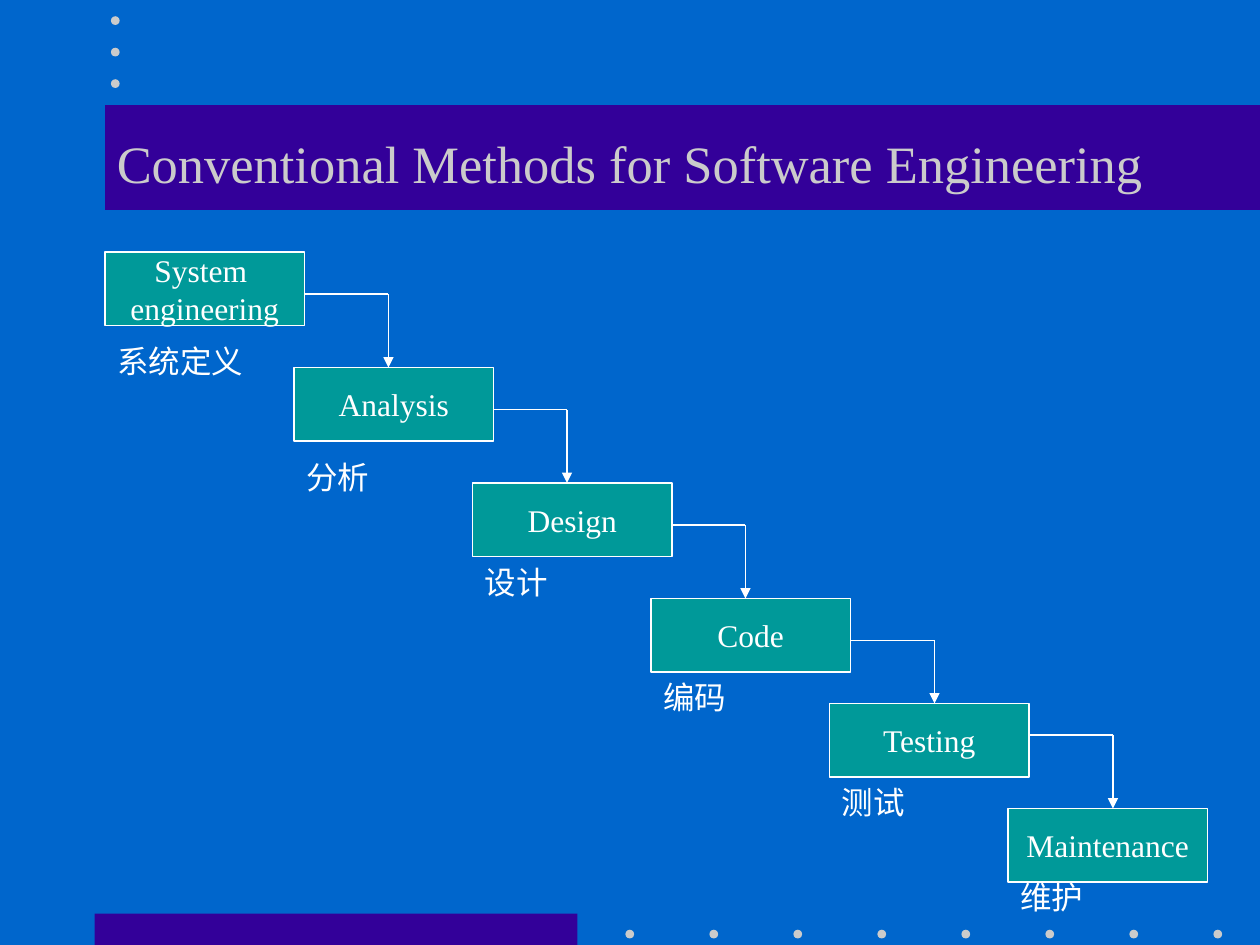
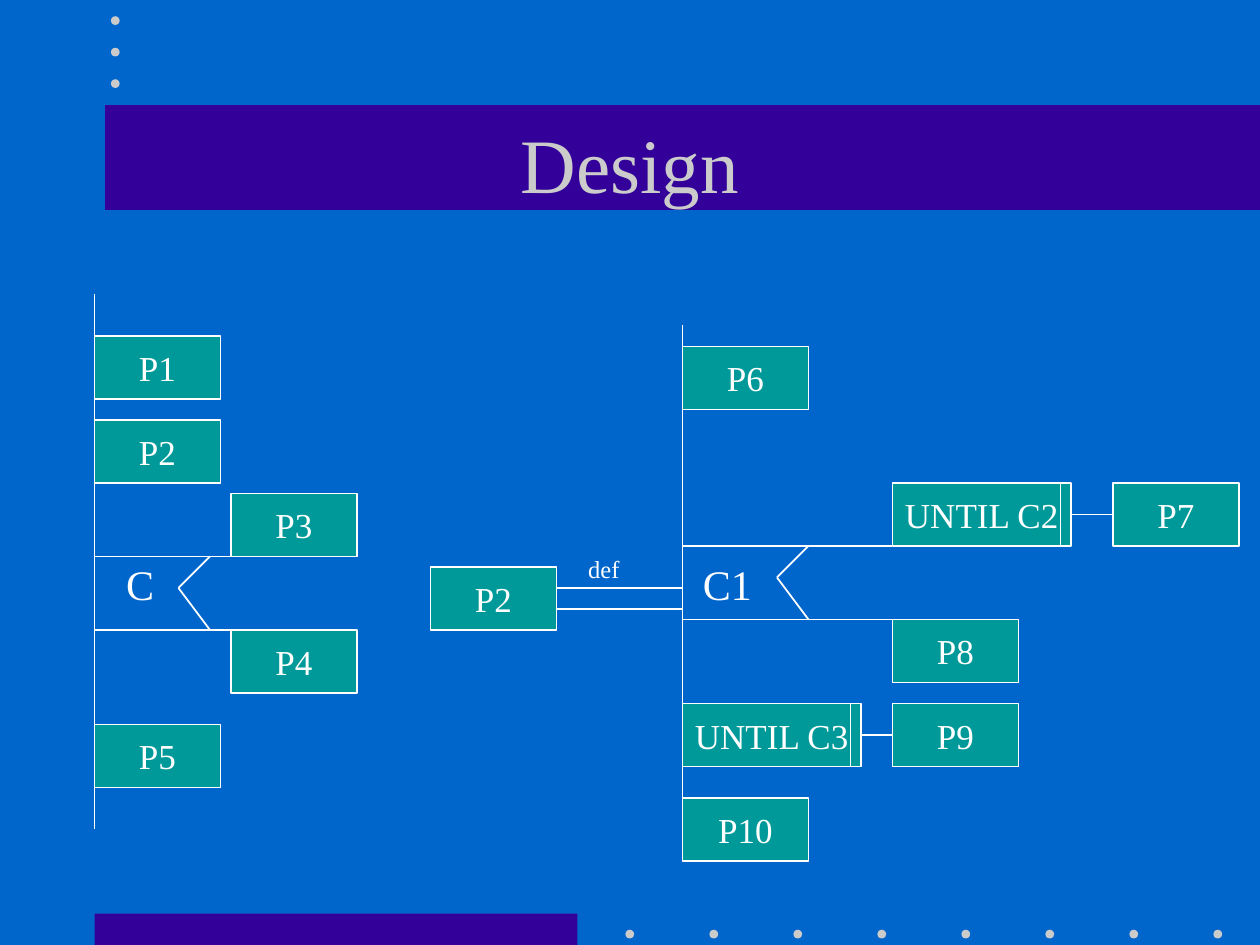
from lxml import etree
from pptx import Presentation
from pptx.dml.color import RGBColor
from pptx.enum import shapes, text
from pptx.oxml import ns
from pptx.util import Pt

COLORS = {"ground": "0066CC", "band": "330099", "title": "CBCBCB", "box": "009999", "ink": "FFFFFF"}
FONT = "Times New Roman"
STAGE_SIZE = (114, 42)
PROCESS_SIZE = (72, 36)
UNTIL_SIZE = (102, 36)


def rgb(name):
    return RGBColor.from_string(COLORS[name])


def write(frame, wording, size, color="ink", align=text.PP_ALIGN.LEFT):
    frame.text = wording
    frame.auto_size = text.MSO_AUTO_SIZE.NONE
    for paragraph in frame.paragraphs:
        paragraph.alignment = align
        for run in paragraph.runs:
            run.font.name = FONT
            run.font.size = Pt(size)
            run.font.color.rgb = rgb(color)


def add_form(slide, kind, left, top, width, height, fill):
    form = slide.shapes.add_shape(kind, Pt(left), Pt(top), Pt(width), Pt(height))
    form.shadow.inherit = False
    form.fill.solid()
    form.fill.fore_color.rgb = rgb(fill)
    form.line.fill.background()
    return form


def add_box(slide, wording, left, top, size=PROCESS_SIZE, font_size=20):
    box = add_form(slide, shapes.MSO_SHAPE.RECTANGLE, left, top, *size, "box")
    box.line.color.rgb = rgb("ink")
    box.line.width = Pt(1)
    frame = box.text_frame
    write(frame, wording, font_size, align=text.PP_ALIGN.CENTER)
    frame.word_wrap = False
    frame.vertical_anchor = text.MSO_ANCHOR.MIDDLE
    return box


def add_label(slide, wording, left, top, width, height, size):
    label = slide.shapes.add_textbox(Pt(left), Pt(top), Pt(width), Pt(height))
    write(label.text_frame, wording, size)
    label.text_frame.word_wrap = True


def add_line(slide, x1, y1, x2, y2, arrow=False):
    line = slide.shapes.add_connector(
        shapes.MSO_CONNECTOR.STRAIGHT, Pt(x1), Pt(y1), Pt(x2), Pt(y2))
    line.line.color.rgb = rgb("ink")
    line.line.width = Pt(1)
    if arrow:
        etree.SubElement(line.line._get_or_add_ln(), ns.qn("a:tailEnd"), type="triangle")
    etree.SubElement(line._element.spPr, ns.qn("a:effectLst"))
    return line


def add_dots(slide, left, top, count, step_x, step_y):
    for i in range(count):
        add_form(slide, shapes.MSO_SHAPE.OVAL, left + i * step_x, top + i * step_y, 5, 5, "title")


def style_layout(layout, slide):
    layout.background.fill.solid()
    layout.background.fill.fore_color.rgb = rgb("ground")
    heading = layout.placeholders[0]
    heading.left, heading.top, heading.width, heading.height = map(Pt, (54, 48, 612, 90))
    add_form(slide, shapes.MSO_SHAPE.RECTANGLE, 54, 522, 276, 18, "band")
    add_dots(slide, 357.4, 531.3, 8, 48, 0)
    add_form(slide, shapes.MSO_SHAPE.RECTANGLE, 60, 60, 660, 60, "band")
    add_dots(slide, 63.4, 9.3, 3, 0, 18)
    decorations = [shape for shape in slide.shapes if not shape.is_placeholder]
    for position, decoration in enumerate(decorations):
        element = decoration._element
        element.nvSpPr.cNvPr.set("id", str(100 + position))
        layout.shapes._spTree.insert(2 + position, element)


def set_title(slide, wording, size):
    frame = slide.shapes.title.text_frame
    write(frame, wording, size, "title", text.PP_ALIGN.CENTER)
    frame.vertical_anchor = text.MSO_ANCHOR.MIDDLE


def draw_waterfall(slide, left, top):
    stages = [
        ("System \nengineering", "系统定义", 0, 0, 48),
        ("Analysis", "分析", 108, 66, 48),
        ("Design", "设计", 210, 132, 42),
        ("Code", "编码", 312, 198, 42),
        ("Testing", "测试", 414, 258, 42),
        ("Maintenance", "维护", 516, 318, 36),
    ]
    exits = [24, 24, 24, 24, 18]
    entries = [54, 54, 54, 60, 60]
    for stage, translation, x, y, drop in stages:
        add_box(slide, stage, left + x, top + y, STAGE_SIZE, 18)
        add_label(slide, translation, left + x, top + y + drop, 90, 29, 18)
    for before, after, exit_drop, entry in zip(stages, stages[1:], exits, entries):
        start = left + before[2] + STAGE_SIZE[0]
        turn = left + after[2] + entry
        level = top + before[3] + exit_drop
        add_line(slide, start, level, turn, level)
        add_line(slide, turn, level, turn, top + after[3], arrow=True)


def draw_choice(slide, condition, left, top, length, notch, label_offset):
    height, depth = 42, 18
    for y in (top, top + height):
        add_line(slide, left, y, left + length, y)
    tip = (left + notch - depth, top + depth)
    add_line(slide, left + notch, top, *tip)
    add_line(slide, *tip, left + notch, top + height)
    dx, dy = label_offset
    add_label(slide, condition, left + dx, top + dy, 48, 36, 24)


def draw_until(slide, condition, process, left, top, gap):
    width, height = UNTIL_SIZE
    loop = add_box(slide, condition, left, top, UNTIL_SIZE)
    body = add_box(slide, process, left + width + gap, top)
    middle = top + height / 2
    link = add_line(slide, left + width, middle, left + width + gap, middle)
    link.begin_connect(loop, 3)
    link.end_connect(body, 1)
    add_line(slide, left + width - 6, top, left + width - 6, top + height)


def draw_main_program(slide, left, top):
    for process, x, y in [("P1", 0, 24), ("P2", 0, 72), ("P3", 78, 114),
                          ("P4", 78, 192), ("P5", 0, 246)]:
        add_box(slide, process, left + x, top + y)
    add_line(slide, left, top, left, top + 306)
    draw_choice(slide, "C", left, top + 150, 78, 66, (11, -2.5))


def draw_definition(slide, left, top):
    add_box(slide, "P2", left, top)
    start = left + PROCESS_SIZE[0]
    for y in (12, 24):
        add_line(slide, start, top + y, start + 72, top + y)
    add_label(slide, "def", left + 83, top - 11, 40, 24, 14)


def draw_refined_program(slide, left, top):
    for process, x, y in [("P6", 0, 12), ("P8", 120, 168), ("P10", 0, 270)]:
        add_box(slide, process, left + x, top + y)
    draw_until(slide, "UNTIL C2", "P7", left + 120, top + 90, 24)
    draw_until(slide, "UNTIL C3", "P9", left, top + 216, 18)
    add_line(slide, left, top, left, top + 288)
    draw_choice(slide, "C1", left, top + 126, 120, 72, (4.5, 3.5))


def main():
    deck = Presentation()
    deck.slide_width, deck.slide_height = Pt(720), Pt(540)
    layout = deck.slide_layouts[5]
    methods = deck.slides.add_slide(layout)
    style_layout(layout, methods)
    set_title(methods, "Conventional Methods for Software Engineering", 30)
    draw_waterfall(methods, 60, 144)

    design = deck.slides.add_slide(layout)
    set_title(design, "Design", 44)
    draw_main_program(design, 54, 168)
    draw_definition(design, 246, 324)
    draw_refined_program(design, 390, 186)
    deck.save("out.pptx")


if __name__ == "__main__":
    main()
